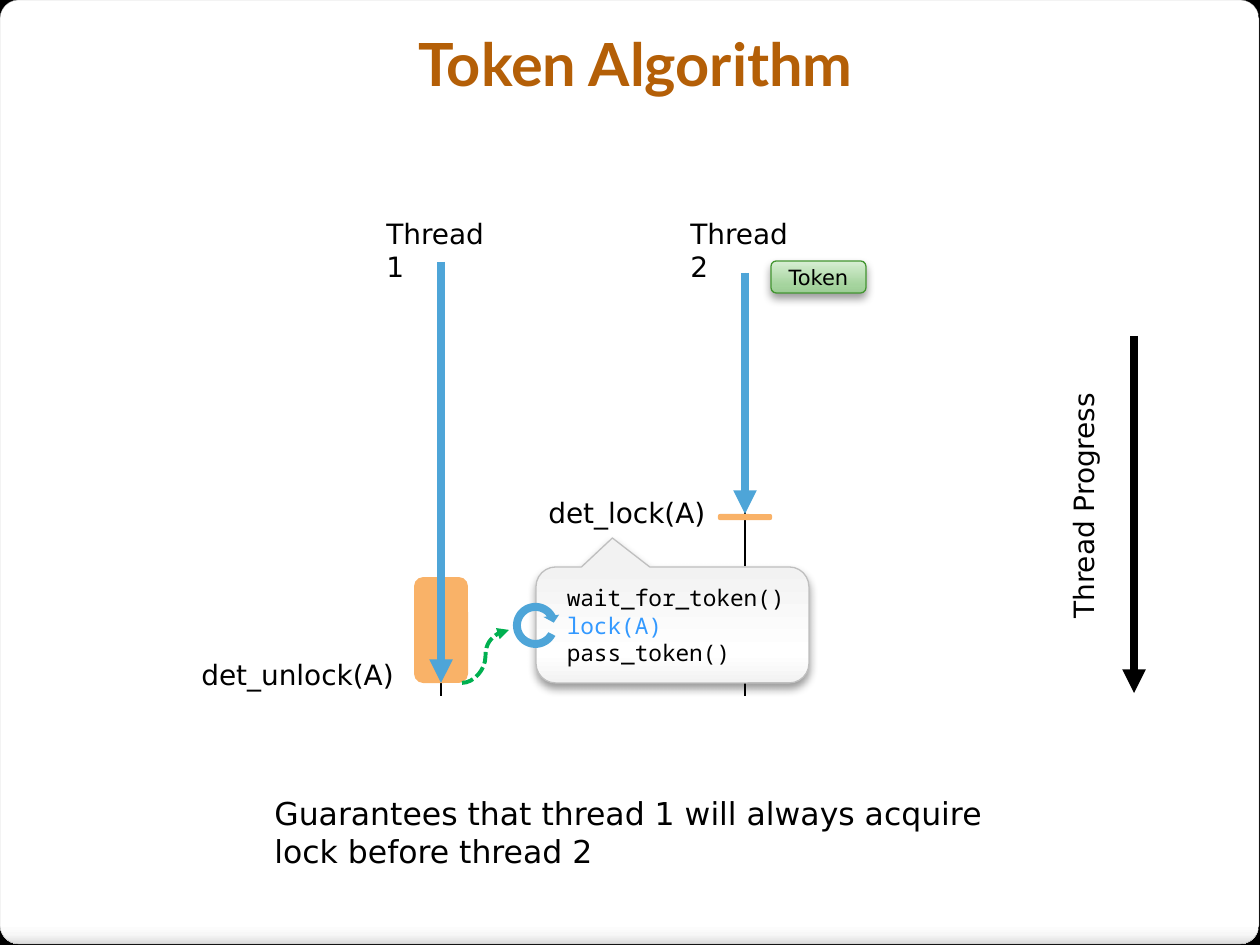
from pptx import Presentation
from pptx.dml.color import RGBColor
from pptx.enum.dml import MSO_LINE
from pptx.enum.shapes import MSO_CONNECTOR, MSO_SHAPE
from pptx.enum.text import MSO_ANCHOR, PP_ALIGN
from pptx.oxml import parse_xml
from pptx.oxml.ns import nsdecls
from pptx.util import Emu, Pt

STRAIGHT, CURVE = MSO_CONNECTOR.STRAIGHT, MSO_CONNECTOR.CURVE
ROUNDED = MSO_SHAPE.ROUNDED_RECTANGLE
CALLOUT = MSO_SHAPE.ROUNDED_RECTANGULAR_CALLOUT
CIRCULAR_ARROW = MSO_SHAPE.CIRCULAR_ARROW
SHORT_DASH = MSO_LINE.SQUARE_DOT
LEFT, CENTER = PP_ALIGN.LEFT, PP_ALIGN.CENTER
TOP, MIDDLE = MSO_ANCHOR.TOP, MSO_ANCHOR.MIDDLE

PX_PER_INCH = 126
SANS, HEADING, MONO = "DejaVu Sans", "Lato", "Noto Sans Mono"
BLACK = RGBColor(0x00, 0x00, 0x00)
BROWN = RGBColor(0xB4, 0x5F, 0x07)
BLUE = RGBColor(0x4E, 0xA5, 0xD8)
CODE_BLUE = RGBColor(0x33, 0x99, 0xFF)
ORANGE = RGBColor(0xF9, 0xB2, 0x68)
DASH_GREEN = RGBColor(0x00, 0xB0, 0x50)
TOKEN_GREEN = RGBColor(0x43, 0x96, 0x31)
SILVER = RGBColor(0xBF, 0xBF, 0xBF)
GRAY = RGBColor(0xA4, 0xA4, 0xA4)
WHITE = RGBColor(0xFF, 0xFF, 0xFF)
OFF_WHITE = RGBColor(0xF2, 0xF2, 0xF2)
PANEL_EDGE = RGBColor(0xF7, 0xF7, 0xF7)
PANEL_END = RGBColor(0xDA, 0xDA, 0xDA)
TOKEN_DARK = RGBColor(0x9D, 0xCD, 0x96)
TOKEN_MID = RGBColor(0xA5, 0xD4, 0x9E)
TOKEN_LIGHT = RGBColor(0xD7, 0xEE, 0xD3)

PANEL_STOPS = [(0, WHITE), (98, WHITE), (99, PANEL_EDGE), (100, PANEL_END)]
CALLOUT_STOPS = [(0, OFF_WHITE), (25, WHITE), (100, OFF_WHITE)]
TOKEN_STOPS = [(0, TOKEN_DARK), (25, TOKEN_MID), (100, TOKEN_LIGHT)]
THREADS = [("Thread 1", 441), ("Thread 2", 745)]


def px(value):
    return Emu(round(value * 914400 / PX_PER_INCH))


def write(box, lines, size, font=SANS, colors=(BLACK,), align=LEFT, anchor=TOP, bold=False):
    frame = box.text_frame
    frame.word_wrap = True
    frame.vertical_anchor = anchor
    frame.text = "\n".join(lines)
    for index, para in enumerate(frame.paragraphs):
        para.alignment = align
        for span in para.runs:
            span.font.name = font
            span.font.size = Pt(size)
            span.font.bold = bold
            span.font.color.rgb = colors[index % len(colors)]


def add_label(page, text, left, top, width, height=47, size=16):
    box = page.shapes.add_textbox(px(left), px(top), px(width), px(height))
    write(box, [text], size)
    return box


def add_block(page, kind, left, top, width, height, color=None, adjustments=()):
    block = page.shapes.add_shape(kind, px(left), px(top), px(width), px(height))
    block.shadow.inherit = False
    block.line.fill.background()
    if color is not None:
        block.fill.solid()
        block.fill.fore_color.rgb = color
    for index, value in enumerate(adjustments):
        block.adjustments[index] = value
    return block


def outline(item, color, width):
    item.line.color.rgb = color
    item.line.width = Pt(width)


def fill_gradient(block, stops, angle):
    block.fill.gradient()
    gradient = block.fill._xPr.gradFill
    marks = "".join(
        f'<a:gs pos="{position * 1000}"><a:srgbClr val="{color}"/></a:gs>'
        for position, color in stops
    )
    gradient.getparent().replace(gradient, parse_xml(
        f'<a:gradFill {nsdecls("a")} rotWithShape="1"><a:gsLst>{marks}</a:gsLst>'
        f'<a:lin ang="{angle * 60000}" scaled="0"/></a:gradFill>'
    ))


def add_drop_shadow(block):
    effects = block._element.spPr.find("{*}effectLst")
    effects.append(parse_xml(
        f'<a:outerShdw {nsdecls("a")} blurRad="{Pt(5.2)}" dist="{Pt(3)}" dir="5400000" '
        'algn="t" rotWithShape="0"><a:srgbClr val="000000"><a:alpha val="40000"/>'
        '</a:srgbClr></a:outerShdw>'
    ))


def add_line(page, start, end, color, width, kind=STRAIGHT, arrow=True):
    line = page.shapes.add_connector(kind, *map(px, (*start, *end)))
    outline(line, color, width)
    if arrow:
        line.line._get_or_add_ln().append(
            parse_xml(f'<a:tailEnd {nsdecls("a")} type="triangle"/>'))
    line._element.spPr.append(parse_xml(f'<a:effectLst {nsdecls("a")}/>'))
    return line


def add_background(page):
    page.background.fill.solid()
    page.background.fill.fore_color.rgb = BLACK
    panel = add_block(page, ROUNDED, 0, 0, 1259, 944, adjustments=[0.02])
    fill_gradient(panel, PANEL_STOPS, 90)
    outline(panel, GRAY, 0.16)
    page.shapes._spTree.insert(2, panel._element)


def add_title(page):
    title = page.shapes.title
    title.left, title.top, title.width, title.height = map(px, (32, 21, 1207, 105))
    write(title, ["Token Algorithm"], 34, HEADING, (BROWN,), CENTER, bold=True)


def add_threads(page):
    for name, center in THREADS:
        add_line(page, (center, 273), (center, 696), BLACK, 1.5, arrow=False)
        add_label(page, name, center - 67, 210, 137)
    first, second = (center for _, center in THREADS)

    held = add_block(page, ROUNDED, first - 27, 577, 54, 106, ORANGE, [0.17])
    add_line(page, (first, 262), (first, 683), BLUE, 4.5).end_connect(held, 2)
    add_label(page, "det_unlock(A)", 189, 651, 227)

    waiting = add_block(page, ROUNDED, second - 27, 514, 54, 6, ORANGE, [0.31])
    add_line(page, (second, 273), (second, 514), BLUE, 4.5).end_connect(waiting, 0)
    add_label(page, "det_lock(A)", 536, 489, 190)


def add_token(page):
    token = add_block(page, ROUNDED, 771, 261, 95, 32)
    fill_gradient(token, TOKEN_STOPS, 270)
    outline(token, TOKEN_GREEN, 0.75)
    add_drop_shadow(token)
    write(token, ["Token"], 12, align=CENTER, anchor=MIDDLE)


def add_lock_steps(page):
    callout = add_block(page, CALLOUT, 536, 567, 273, 116, adjustments=[-0.22, -0.75, 0.17])
    fill_gradient(callout, CALLOUT_STOPS, 270)
    outline(callout, SILVER, 0.75)
    add_drop_shadow(callout)
    callout.text_frame.margin_left = px(25)
    write(callout, ["wait_for_token()", "lock(A)", "pass_token()"], 13, MONO,
          (BLACK, CODE_BLUE, BLACK), anchor=MIDDLE)
    add_block(page, CIRCULAR_ARROW, 509, 599, 53, 53, BLUE,
              [0.15, 13.65, 197.24, 16.59, 0.15])
    handover = add_line(page, (462, 683), (509, 630), DASH_GREEN, 2.25, CURVE)
    handover.line.dash_style = SHORT_DASH


def add_progress_axis(page):
    add_line(page, (1134, 336), (1134, 693), BLACK, 4.5)
    add_label(page, "Thread Progress", 955, 479, 257).rotation = 270


def main():
    deck = Presentation()
    deck.slide_width, deck.slide_height = px(1260), px(945)
    page = deck.slides.add_slide(deck.slide_layouts[5])
    add_background(page)
    add_title(page)
    add_threads(page)
    add_token(page)
    add_lock_steps(page)
    add_progress_axis(page)
    add_label(page, "Guarantees that thread 1 will always acquire lock before thread 2",
              262, 788, 788, 89, 18)
    deck.save("out.pptx")


if __name__ == "__main__":
    main()
